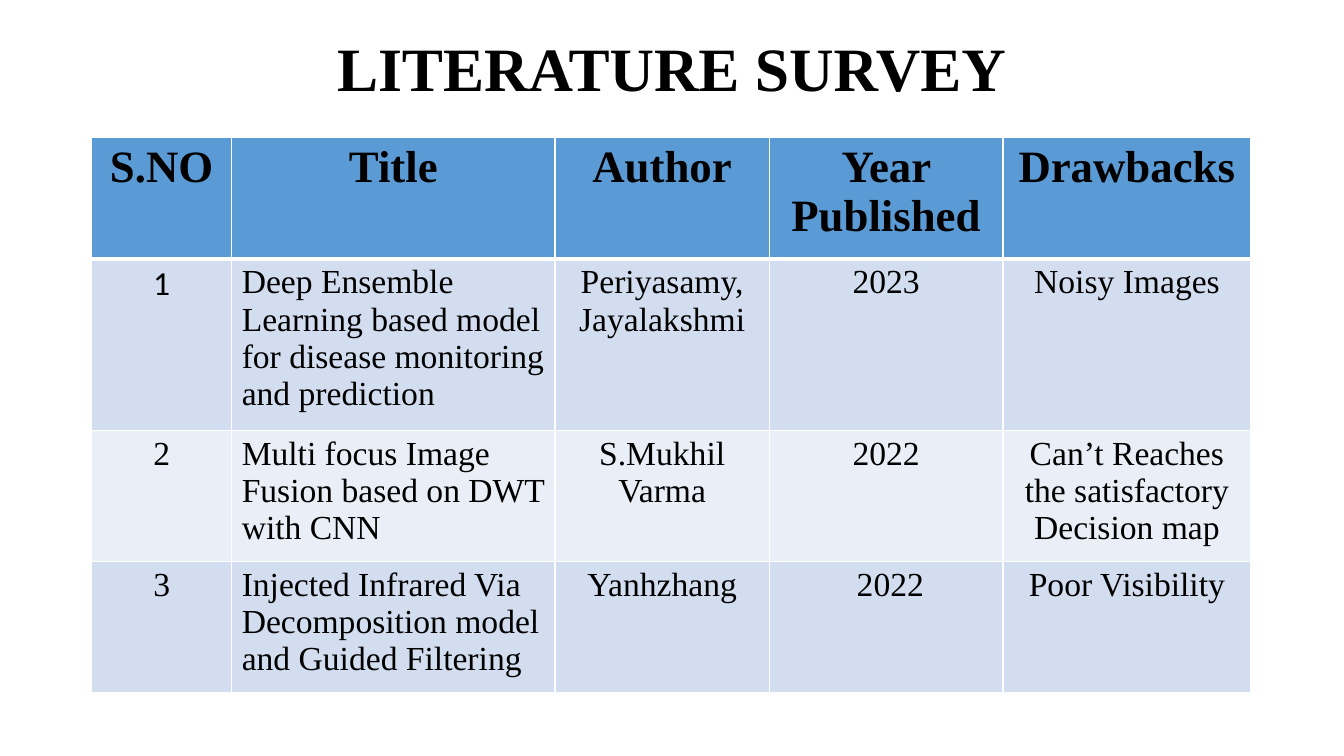
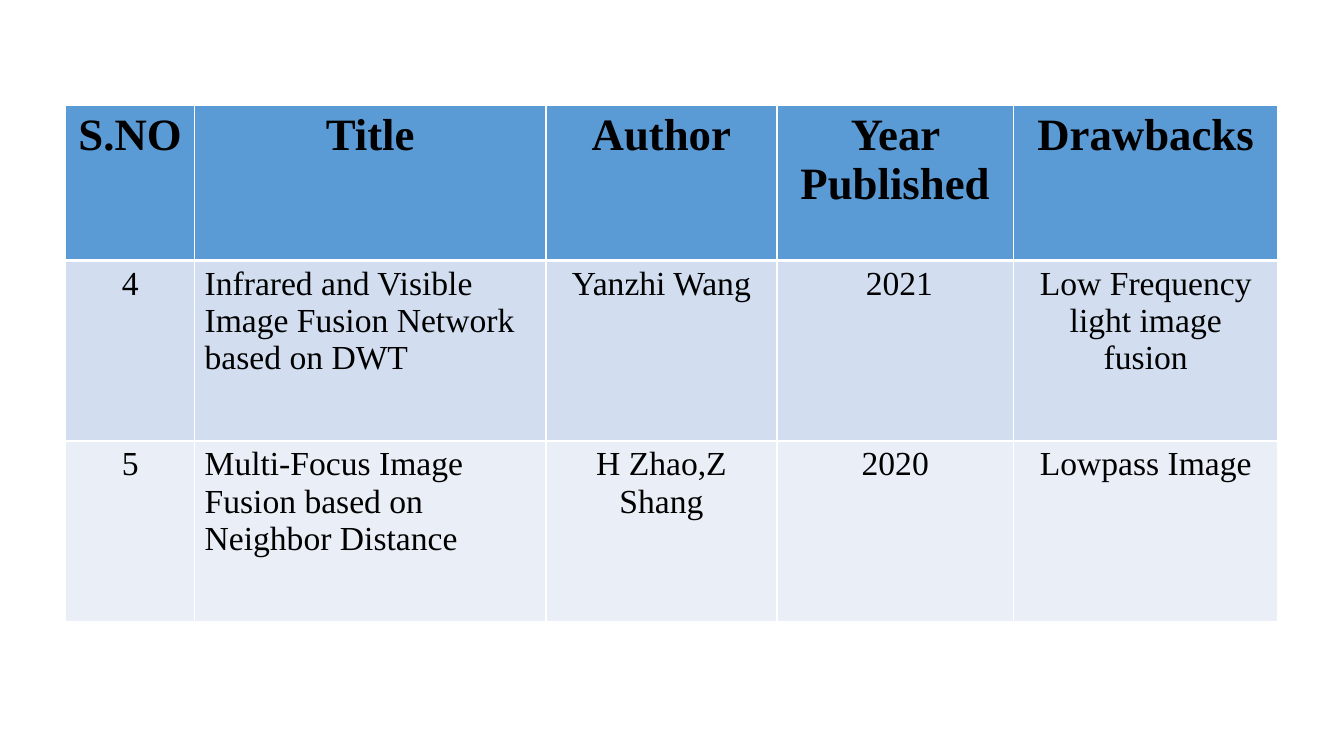
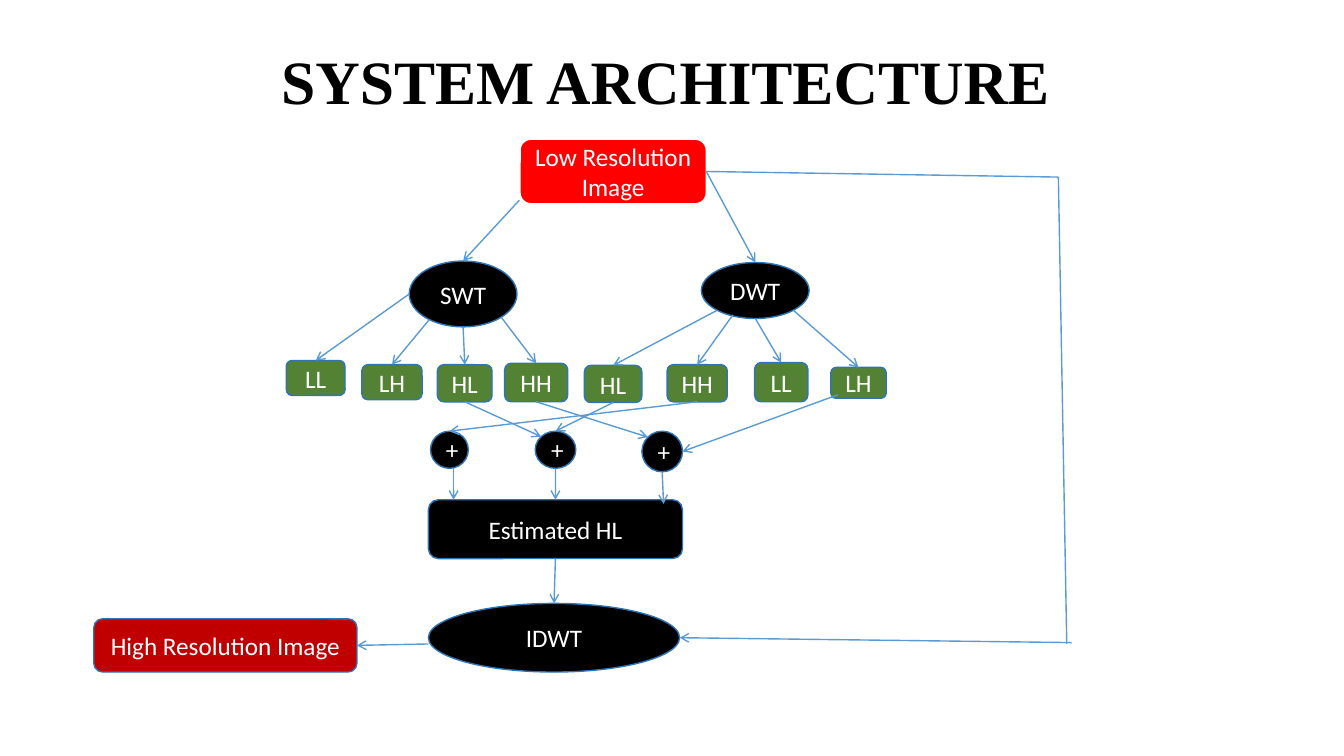
from pptx import Presentation
from pptx.dml.color import RGBColor
from pptx.enum.shapes import MSO_CONNECTOR as Connector, MSO_SHAPE as Shape
from pptx.enum.text import MSO_ANCHOR as Anchor, PP_ALIGN as Align
from pptx.oxml import parse_xml
from pptx.oxml.ns import nsdecls
from pptx.util import Pt

SERIF, SANS = "Times New Roman", "Calibri"
BLACK, WHITE, RED, DARK_RED = "000000", "FFFFFF", "FF0000", "C00000"
GREEN, OUTLINE, BLUE = "548235", "2E75B6", "5B9BD5"
BANDS = ("D2DEEF", "EAEFF7")
HEADINGS = ("S.NO", "Title", "Author", "Year Published", "Drawbacks")

SIDES = {"top": (0.5, 0), "left": (0, 0.5), "bottom": (0.5, 1), "right": (1, 0.5),
         "top left": (0.146, 0.146), "bottom left": (0.146, 0.854),
         "bottom right": (0.854, 0.854)}
SITES = ("top", "left", "bottom", "right")

FIRST_PAPERS = (
    ("1", "Deep Ensemble Learning based model for disease monitoring and prediction",
     "Periyasamy, Jayalakshmi", "2023", "Noisy Images"),
    ("2", "Multi focus Image Fusion based on DWT with CNN",
     "S.Mukhil Varma", "2022", "Can’t Reaches the satisfactory Decision map"),
    ("3", "Injected Infrared Via Decomposition model and Guided Filtering",
     "Yanhzhang", " 2022", "Poor Visibility"),
)
MORE_PAPERS = (
    ("4", "Infrared and Visible Image Fusion Network based on DWT",
     "Yanzhi Wang", " 2021", "Low Frequency light image fusion"),
    ("5", "Multi-Focus Image Fusion based on Neighbor Distance",
     "H Zhao,Z Shang", "2020", "Lowpass Image"),
)

RECT, OVAL = Shape.ROUNDED_RECTANGLE, Shape.OVAL
NODES = {
    "input": (RECT, "Low Resolution Image", RED, (304.5, 0, 133, 46)),
    "swt": (OVAL, "SWT", BLACK, (225.3, 87, 77, 47)),
    "dwt": (OVAL, "DWT", BLACK, (434, 88, 77, 40)),
    "swt ll": (RECT, "LL", GREEN, (137.5, 158, 42, 25)),
    "swt lh": (RECT, "LH", GREEN, (191.5, 161, 43, 25)),
    "swt hl": (RECT, "HL", GREEN, (245.5, 161, 39, 26.5)),
    "swt hh": (RECT, "HH", GREEN, (293.5, 160, 45, 27.5)),
    "dwt hl": (RECT, "HL", GREEN, (350.5, 161.5, 41, 26.5)),
    "dwt hh": (RECT, "HH", GREEN, (409.5, 161, 43, 26.5)),
    "dwt ll": (RECT, "LL", GREEN, (472, 159.5, 38, 28)),
    "dwt lh": (RECT, "LH", GREEN, (526.5, 163, 39.5, 22)),
    "sum 1": (OVAL, "+", BLACK, (240.5, 208.5, 27, 26.5)),
    "sum 2": (OVAL, "+", BLACK, (315.3, 208.5, 29, 26.5)),
    "sum 3": (OVAL, "+", BLACK, (391.5, 208.5, 29, 29)),
    "estimate": (RECT, "Estimated HL", BLACK, (239, 257.5, 181.5, 42)),
    "idwt": (OVAL, "IDWT", BLACK, (239, 331.5, 179.5, 49)),
    "output": (RECT, "High Resolution Image", DARK_RED, (0, 342.5, 188, 38)),
}
ARROWS = (
    ((304, 43.5), ("swt", "top")),
    (("input", "right"), ("dwt", "top")),
    (("swt", "left"), ("swt ll", "top")),
    ((239.5, 129), ("swt lh", "top")),
    (("swt", "bottom right"), ("swt hh", "top")),
    (("swt", "bottom"), ("swt hl", "top")),
    (("dwt", "bottom left"), ("dwt hl", "top")),
    ((456.5, 125.5), ("dwt hh", "top")),
    (("dwt", "bottom"), ("dwt ll", "top")),
    (("dwt", "bottom right"), ("dwt lh", "top")),
    (("swt hl", "bottom"), ("sum 2", "top left")),
    (("swt hh", "bottom"), ("sum 3", "top left")),
    (("dwt hl", "bottom"), ("sum 2", "top")),
    (("dwt hh", "bottom"), ("sum 1", "top")),
    ((531.5, 182.5), ("sum 3", "right")),
    ((257, 235), (257, 257.5)),
    (("sum 2", "bottom"), ("estimate", "top")),
    (("sum 3", "bottom"), (407, 260.5)),
    (("estimate", "bottom"), ("idwt", "top")),
    ((239, 360.5), ("output", "right")),
    ((698.5, 359.5), ("idwt", "right")),
)
BYPASS = (
    (("input", "right"), (689, 27)),
    ((689, 27), (695, 360.5)),
)


def color(hex_code):
    """Turn a hex string into a colour."""
    return RGBColor.from_string(hex_code)


def write(frame, text, size, font, ink, bold=False, align=Align.CENTER):
    """Put one formatted paragraph into a text frame and return it."""
    frame.text = text
    para = frame.paragraphs[0]
    para.alignment = align
    for span in para.runs:
        span.font.size, span.font.name, span.font.bold = Pt(size), font, bold
        span.font.color.rgb = color(ink)
    return para


def add_title(page, text, box):
    """Add a slide title."""
    frame = page.shapes.add_textbox(*map(Pt, box)).text_frame
    frame.word_wrap = True
    frame.vertical_anchor = Anchor.MIDDLE
    write(frame, text, 44, SERIF, BLACK, bold=True).line_spacing = 0.9


def set_borders(cell, top, bottom):
    """Give a cell white borders, with its own top and bottom widths."""
    props = cell._tc.get_or_add_tcPr()
    for index, (edge, width) in enumerate((("L", 1), ("R", 1), ("T", top), ("B", bottom))):
        props.insert(index, parse_xml(
            f'<a:ln{edge} {nsdecls("a")} w="{Pt(width)}"><a:solidFill>'
            f'<a:srgbClr val="{WHITE}"/></a:solidFill></a:ln{edge}>'))


def add_survey(page, papers, left, top, widths, heights):
    """Add a table of papers under the shared headings."""
    rows = (HEADINGS, *papers)
    table = page.shapes.add_table(len(rows), len(widths), Pt(left), Pt(top),
                                  Pt(sum(widths)), Pt(sum(heights))).table
    for column, width in zip(table.columns, widths):
        column.width = Pt(width)
    for row, height in zip(table.rows, heights):
        row.height = Pt(height)
    for r, texts in enumerate(rows):
        for c, text in enumerate(texts):
            cell = table.cell(r, c)
            header = r == 0
            cell.fill.solid()
            cell.fill.fore_color.rgb = color(BLUE if header else BANDS[(r - 1) % 2])
            set_borders(cell, 3 if r == 1 else 1, 3 if header else 1)
            write(cell.text_frame, text, 32 if header else 24,
                  SANS if text == "1" else SERIF, BLACK, header,
                  Align.LEFT if c == 1 and not header else Align.CENTER)


def add_node(page, left, top, kind, text, fill, box):
    """Add one labelled node of the diagram."""
    x, y, width, height = box
    node = page.shapes.add_shape(kind, Pt(left + x), Pt(top + y), Pt(width), Pt(height))
    node.shadow.inherit = False
    node.fill.solid()
    node.fill.fore_color.rgb = color(fill)
    node.line.color.rgb = color(WHITE if fill == RED else OUTLINE)
    node.line.width = Pt(1)
    node.text_frame.word_wrap = True
    node.text_frame.vertical_anchor = Anchor.MIDDLE
    write(node.text_frame, text, 18, SANS, WHITE)
    return node


def locate(end):
    """Find the point, inside the diagram, where a line ends."""
    if end[0] not in NODES:
        return end
    x, y, width, height = NODES[end[0]][3]
    across, down = SIDES[end[1]]
    return x + across * width, y + down * height


def add_link(page, left, top, nodes, start, finish, arrow):
    """Draw a line between two ends, joined to the rectangles it meets."""
    (x1, y1), (x2, y2) = locate(start), locate(finish)
    link = page.shapes.add_connector(Connector.STRAIGHT, Pt(left + x1), Pt(top + y1),
                                     Pt(left + x2), Pt(top + y2))
    for end, join in ((start, link.begin_connect), (finish, link.end_connect)):
        if end[0] in NODES and NODES[end[0]][0] == RECT:
            join(nodes[end[0]], SITES.index(end[1]))
    link.line.color.rgb = color(BLUE)
    link.line.width = Pt(1)
    if arrow:
        link.line._get_or_add_ln().append(
            parse_xml(f'<a:tailEnd {nsdecls("a")} type="arrow"/>'))
    link._element.spPr.append(parse_xml(f'<a:effectLst {nsdecls("a")}/>'))


def add_architecture(page, left, top):
    """Draw the system diagram from its top left corner."""
    nodes = {name: add_node(page, left, top, *node) for name, node in NODES.items()}
    for links, arrow in ((ARROWS, True), (BYPASS, False)):
        for start, finish in links:
            add_link(page, left, top, nodes, start, finish, arrow)


def main():
    """Build the deck and save it."""
    deck = Presentation()
    deck.slide_width, deck.slide_height = Pt(960), Pt(540)
    survey, survey_more, system = (
        deck.slides.add_slide(deck.slide_layouts[6]) for _ in range(3))
    add_title(survey, "LITERATURE SURVEY", (57.5, 9.5, 845, 83))
    add_survey(survey, FIRST_PAPERS, 65.5, 98, (100, 231, 153, 167, 177), (87, 112, 86, 86))
    add_survey(survey_more, MORE_PAPERS, 47, 75, (92, 251, 165, 169, 189), (111, 129, 129))
    add_title(system, "SYSTEM ARCHITECTURE", (57.5, 27.5, 836, 66))
    add_architecture(system, 67, 99.5)
    deck.save("out.pptx")


if __name__ == "__main__":
    main()
